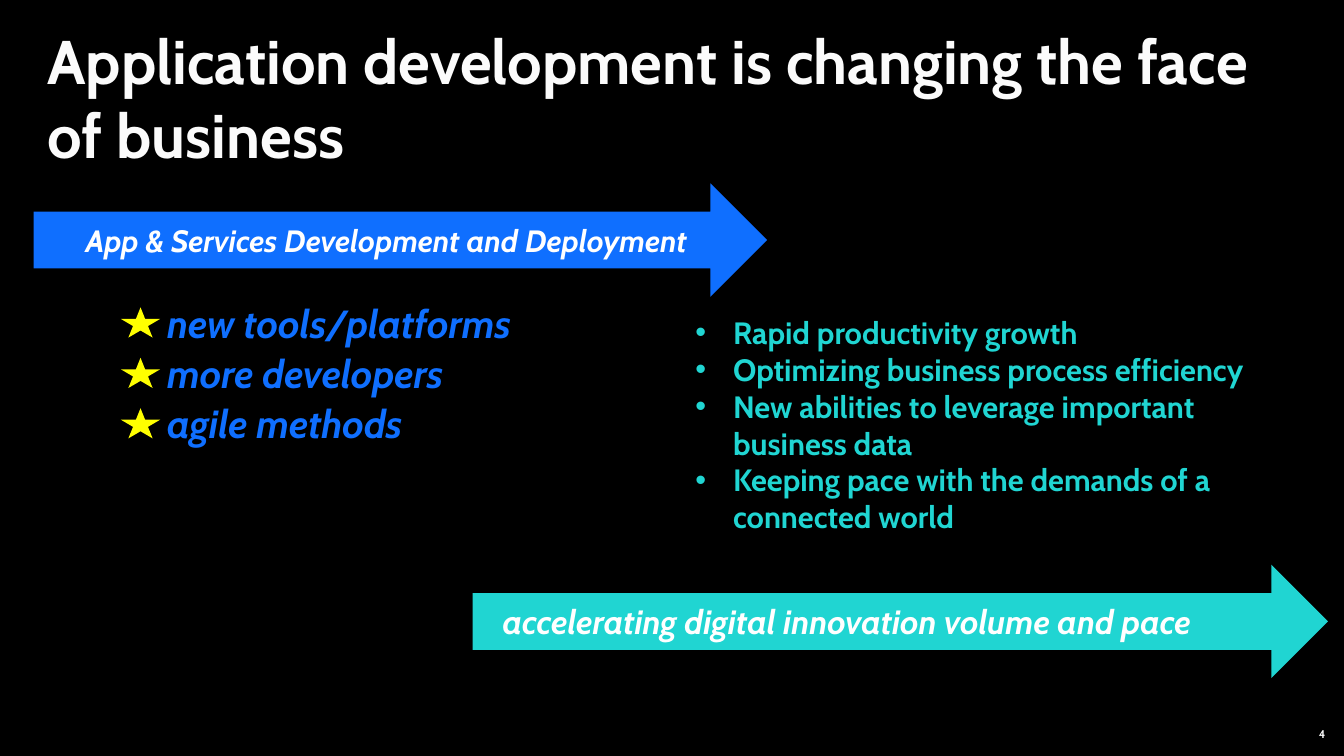
from lxml import etree
from pptx import Presentation
from pptx.dml.color import RGBColor
from pptx.enum.shapes import MSO_SHAPE
from pptx.enum.text import MSO_ANCHOR, PP_ALIGN
from pptx.oxml.ns import qn
from pptx.util import Pt

ARROW, STAR = MSO_SHAPE.RIGHT_ARROW, MSO_SHAPE.STAR_5_POINT
TOP, MIDDLE = MSO_ANCHOR.TOP, MSO_ANCHOR.MIDDLE
LEFT, CENTER, RIGHT = PP_ALIGN.LEFT, PP_ALIGN.CENTER, PP_ALIGN.RIGHT
BLACK, WHITE, TITLE_WHITE = "000000", "FFFFFF", "FBFBFB"
BLUE, TEAL, YELLOW = "0F6FFF", "20D5D2", "FFFF00"


def paint(fill, color):
    fill.solid()
    fill.fore_color.rgb = RGBColor.from_string(color)


def write(shape, lines, size, color, italic=False, align=LEFT, anchor=TOP,
          margins=(0, 0, 0, 0), bullet_indent=0):
    """Fill a shape with bold paragraphs; margins are left, top, right, bottom."""
    frame = shape.text_frame
    frame.word_wrap = True
    frame.vertical_anchor = anchor
    (frame.margin_left, frame.margin_top,
     frame.margin_right, frame.margin_bottom) = [Pt(m) for m in margins]
    frame.text = "\n".join(lines)
    for paragraph in frame.paragraphs:
        paragraph.alignment = align
        if bullet_indent:
            properties = paragraph._p.get_or_add_pPr()
            properties.set("marL", str(Pt(bullet_indent)))
            properties.set("indent", str(-Pt(bullet_indent)))
            etree.SubElement(properties, qn("a:buFont"), typeface="Arial")
            etree.SubElement(properties, qn("a:buChar"), char="•")
        font = paragraph.font
        font.name, font.size = "Cabin", Pt(size)
        font.bold, font.italic = True, italic
        font.color.rgb = RGBColor.from_string(color)


prs = Presentation()
prs.slide_width, prs.slide_height = Pt(960), Pt(540)
slide = prs.slides.add_slide(prs.slide_layouts[6])
paint(slide.background.fill, BLACK)
shapes = slide.shapes
BOX_MARGINS = (7.2, 3.6, 7.2, 3.6)

page_number = shapes.add_textbox(Pt(730.8), Pt(517), Pt(216), Pt(14.4))
write(page_number, ["4"], 8, WHITE, align=RIGHT, anchor=MIDDLE)

title = shapes.add_textbox(Pt(33.8), Pt(16.6), Pt(898.6), Pt(106.6))
write(title, ["Application development is changing the face of business"], 44, TITLE_WHITE)

# Starred drivers
drivers = ["new tools/platforms", "more developers", "agile methods"]
for row, driver in enumerate(drivers):
    offset = row * 36
    label = shapes.add_textbox(Pt(112.3), Pt(210 + offset), Pt(286.6), Pt(41))
    write(label, [driver], 28, BLUE, italic=True, margins=BOX_MARGINS)
    star = shapes.add_shape(STAR, Pt(86.4), Pt(219.6 + offset), Pt(28), Pt(21.6))
    star.shadow.inherit = False
    paint(star.fill, YELLOW)
    star.line.fill.background()

# Arrows: text, left, top, width, colour, text size, alignment, left margin
arrows = [
    ("App & Services Development and Deployment", 24, 131, 524, BLUE, 22, CENTER, 0),
    ("accelerating digital innovation volume and pace", 337.6, 403.4, 611, TEAL, 24, LEFT, 21.4),
]
for caption, left, top, width, color, size, align, indent in arrows:
    arrow = shapes.add_shape(ARROW, Pt(left), Pt(top), Pt(width), Pt(81))
    arrow.shadow.inherit = False
    paint(arrow.fill, color)
    arrow.line.fill.background()
    write(arrow, [caption], size, WHITE, italic=True, align=align,
          anchor=MIDDLE, margins=(indent, 0, 0, 0))

outcomes = shapes.add_textbox(Pt(489.6), Pt(220.3), Pt(450.7), Pt(167))
write(outcomes, [
    "Rapid productivity growth",
    "Optimizing business process efficiency",
    "New abilities to leverage important business data",
    "Keeping pace with the demands of a connected world",
], 22, TEAL, margins=BOX_MARGINS, bullet_indent=27)

prs.save("out.pptx")
